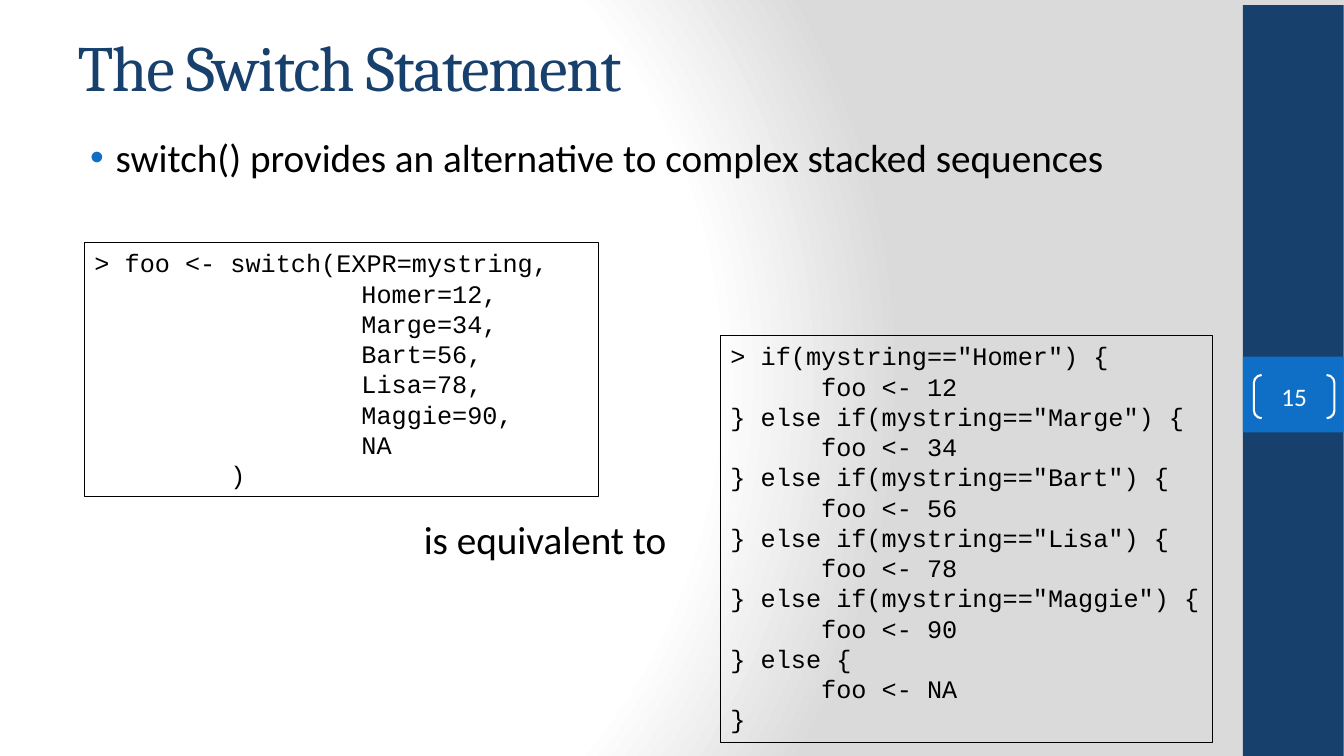
from dataclasses import dataclass

from pptx import Presentation
from pptx import util as u
from pptx.dml.color import RGBColor
from pptx.enum import shapes, text
from pptx.oxml import parse_xml
from pptx.oxml.ns import nsdecls, qn


@dataclass(frozen=True)
class Theme:
    heading_font: str = "Cambria"
    body_font: str = "Calibri"
    code_font: str = "Courier New"
    navy: str = "17406D"
    blue: str = "0F6FC6"
    black: str = "000000"
    white: str = "FFFFFF"
    grey: str = "DADADA"
    title_size: int = 46
    body_size: int = 28
    small_size: int = 18


class SlideBuilder:
    def __init__(self, page, theme):
        self.page = page
        self.theme = theme

    def background(self):
        stops = "".join(
            f'<a:gs pos="{position}"><a:srgbClr val="{color}"/></a:gs>'
            for position, color in ((0, self.theme.white), (75000, self.theme.white),
                                    (100000, self.theme.grey)))
        self.page.element.find(qn("p:cSld")).insert(0, parse_xml(
            f'<p:bg {nsdecls("p", "a")}><p:bgPr><a:gradFill rotWithShape="1">'
            f'<a:gsLst>{stops}</a:gsLst><a:path path="circle">'
            '<a:fillToRect l="20000" t="50000" r="100000" b="50000"/></a:path>'
            '</a:gradFill><a:effectLst/></p:bgPr></p:bg>'))

    def place(self, box, left, top, width, height):
        box.left, box.top, box.width, box.height = map(u.Cm, (left, top, width, height))

    def set_words(self, box, words, font, size, color, align=text.PP_ALIGN.LEFT):
        frame = box.text_frame
        frame.word_wrap = True
        frame.auto_size = text.MSO_AUTO_SIZE.NONE
        frame.text = words
        for paragraph in frame.paragraphs:
            paragraph.alignment = align
            paragraph.space_before = u.Pt(0)
            for span in paragraph.runs:
                span.font.name = font
                span.font.size = u.Pt(size)
                span.font.color.rgb = RGBColor.from_string(color)
        return frame

    def shape(self, kind, area, fill=None, line=None, weight=0.75):
        box = self.page.shapes.add_shape(kind, *map(u.Cm, area))
        box.shadow.inherit = False
        if fill:
            box.fill.solid()
            box.fill.fore_color.rgb = RGBColor.from_string(fill)
        else:
            box.fill.background()
        if line:
            box.line.color.rgb = RGBColor.from_string(line)
            box.line.width = u.Pt(weight)
        else:
            box.line.fill.background()
        return box

    def title(self, words, area):
        box = self.page.shapes.title
        self.place(box, *area)
        frame = self.set_words(box, words, self.theme.heading_font,
                               self.theme.title_size, self.theme.navy)
        frame.vertical_anchor = text.MSO_ANCHOR.MIDDLE
        frame.paragraphs[0].runs[0]._r.get_or_add_rPr().set("spc", "-100")

    def bullet(self, words, area):
        box = self.page.placeholders[1]
        self.place(box, *area)
        frame = self.set_words(box, words, self.theme.body_font,
                               self.theme.body_size, self.theme.black)
        properties = frame.paragraphs[0]._p.get_or_add_pPr()
        properties.set("marL", str(u.Cm(0.96)))
        properties.set("indent", str(u.Cm(-0.64)))
        for element in (f'<a:buClr {nsdecls("a")}><a:srgbClr val="{self.theme.blue}"/></a:buClr>',
                        f'<a:buFont {nsdecls("a")} typeface="Arial"/>',
                        f'<a:buChar {nsdecls("a")} char="•"/>'):
            properties.append(parse_xml(element))

    def caption(self, words, area):
        box = self.page.shapes.add_textbox(*map(u.Cm, area))
        frame = self.set_words(box, words, self.theme.body_font,
                               self.theme.body_size, self.theme.black)
        frame.paragraphs[0]._p.get_or_add_pPr().set("marL", str(u.Cm(0.3)))

    def code(self, lines, area, indented=()):
        box = self.shape(shapes.MSO_SHAPE.RECTANGLE, area, line=self.theme.black)
        frame = self.set_words(box, "\n".join(lines), self.theme.code_font,
                               self.theme.small_size, self.theme.black)
        frame.vertical_anchor = text.MSO_ANCHOR.TOP
        for index in indented:
            frame.paragraphs[index]._p.get_or_add_pPr().set("marL", str(u.Cm(2.54)))

    def page_number(self, number, area):
        box = self.shape(shapes.MSO_SHAPE.DOUBLE_BRACKET, area,
                         line=self.theme.white, weight=1.5)
        box.adjustments[0] = 0.18
        frame = self.set_words(box, number, self.theme.body_font, self.theme.small_size,
                               self.theme.white, text.PP_ALIGN.CENTER)
        frame.vertical_anchor = text.MSO_ANCHOR.MIDDLE
        frame.margin_left = frame.margin_right = frame.margin_top = frame.margin_bottom = 0


def main():
    deck = Presentation()
    deck.slide_width, deck.slide_height = u.Cm(33.87), u.Cm(19.05)
    theme = Theme()
    slide = SlideBuilder(deck.slides.add_slide(deck.slide_layouts[1]), theme)

    # Background and side bar
    slide.background()
    slide.shape(shapes.MSO_SHAPE.RECTANGLE, (31.32, 0.13, 2.54, 18.92), fill=theme.navy)
    slide.shape(shapes.MSO_SHAPE.RECTANGLE, (31.32, 8.99, 2.54, 1.91), fill=theme.blue)
    slide.page_number("15", (31.6, 9.45, 2.03, 1.09))

    # Title and bullet
    slide.title("The Switch Statement", (1.7, 0.58, 28.22, 2.16))
    slide.bullet("switch() provides an alternative to complex stacked sequences",
                 (1.7, 3.23, 28.22, 1.68))

    # Both code forms come from the same cases
    cases = {"Homer": 12, "Marge": 34, "Bart": 56, "Lisa": 78, "Maggie": 90}
    if_lines = []
    for name, value in cases.items():
        opening = "} else" if if_lines else ">"
        if_lines += [f'{opening} if(mystring=="{name}") {{', f"      foo <- {value}"]
    if_lines += ["} else {", "      foo <- NA", "}"]
    slide.code(if_lines, (18.16, 8.46, 12.4, 10.26))

    choices = [f"{name}={value}," for name, value in cases.items()] + ["NA"]
    switch_lines = ["> foo <- switch(EXPR=mystring,",
                    *(" " * 11 + choice for choice in choices),
                    " " * 9 + ")"]
    slide.code(switch_lines, (2.13, 6.12, 12.95, 6.4), range(1, len(choices) + 1))
    slide.caption("is equivalent to", (10.13, 12.85, 7.42, 1.68))

    deck.save("out.pptx")


if __name__ == "__main__":
    main()
